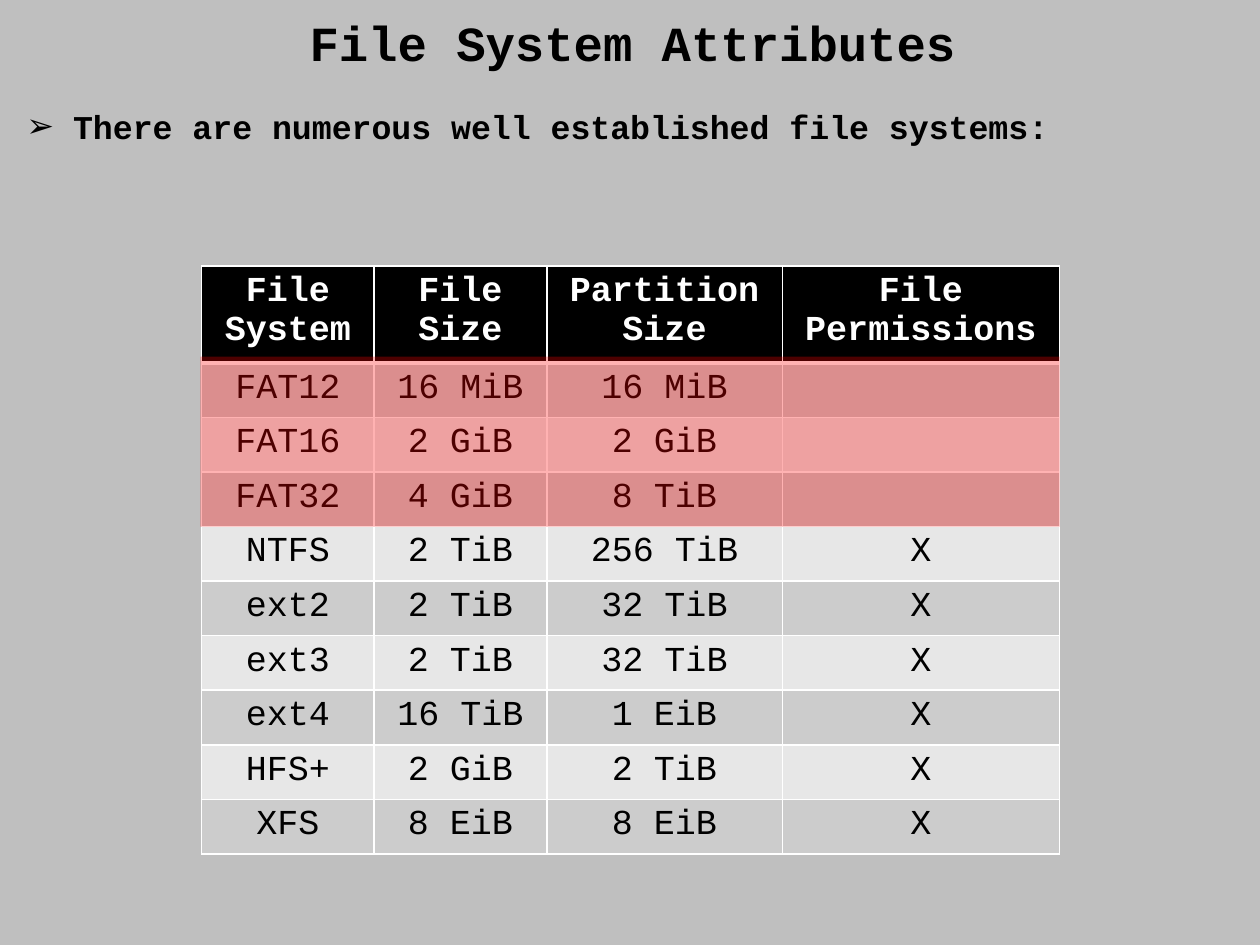
import pptx
import pptx.dml.color
import pptx.enum.shapes
import pptx.enum.text
import pptx.oxml
import pptx.oxml.ns
import pptx.util
from pptx.util import Inches

RGBColor = pptx.dml.color.RGBColor
BLACK = RGBColor(0x00, 0x00, 0x00)
WHITE = RGBColor(0xFF, 0xFF, 0xFF)
BACKGROUND = RGBColor(0xBF, 0xBF, 0xBF)
DARK_BAND = RGBColor(0xCC, 0xCC, 0xCC)
LIGHT_BAND = RGBColor(0xE7, 0xE7, 0xE7)
RED = RGBColor(0xFF, 0x00, 0x00)

FONT = "Courier New"
CENTER = pptx.enum.text.PP_ALIGN.CENTER
LEFT = pptx.enum.text.PP_ALIGN.LEFT
MIDDLE = pptx.enum.text.MSO_ANCHOR.MIDDLE
TOP = pptx.enum.text.MSO_ANCHOR.TOP

COLUMN_WIDTHS = [1.37, 1.37, 1.87, 2.2]
HEADER_HEIGHT = 0.77
BODY_HEIGHT = 3.9
HEADERS = ["File\nSystem", "File\nSize", "Partition\nSize", "File\nPermissions"]
FILE_SYSTEMS = [
    ["FAT12", "16 MiB", "16 MiB", ""],
    ["FAT16", "2 GiB", "2 GiB", ""],
    ["FAT32", "4 GiB", "8 TiB", ""],
    ["NTFS", "2 TiB", "256 TiB", "X"],
    ["ext2", "2 TiB", "32 TiB", "X"],
    ["ext3", "2 TiB", "32 TiB", "X"],
    ["ext4", "16 TiB", "1 EiB", "X"],
    ["HFS+", "2 GiB", "2 TiB", "X"],
    ["XFS", "8 EiB", "8 EiB", "X"],
]


def add_xml(parent, tag, content="", **attributes):
    """Append a DrawingML element to a parent and return it."""
    namespace = pptx.oxml.ns.nsdecls("a")
    values = "".join(f' {name}="{value}"' for name, value in attributes.items())
    element = pptx.oxml.parse_xml(f"<a:{tag} {namespace}{values}>{content}</a:{tag}>")
    parent.append(element)
    return element


def write_text(text_frame, text, size=20, color=BLACK, bold=False, alignment=CENTER):
    """Fill a text frame with one formatted paragraph per line."""
    text_frame.text = text
    for paragraph in text_frame.paragraphs:
        paragraph.alignment = alignment
        for font in [paragraph.font] + [run.font for run in paragraph.runs]:
            font.name = FONT
            font.size = pptx.util.Pt(size)
            font.bold = bold
            font.color.rgb = color


def fill_placeholder(shape, text, left, top, width, height, anchor, **text_format):
    """Move a placeholder and write its text."""
    shape.left, shape.top = Inches(left), Inches(top)
    shape.width, shape.height = Inches(width), Inches(height)
    text_frame = shape.text_frame
    text_frame.word_wrap = True
    text_frame.auto_size = pptx.enum.text.MSO_AUTO_SIZE.NONE
    text_frame.vertical_anchor = anchor
    write_text(text_frame, text, bold=True, **text_format)


def set_bullet(paragraph, character, indent):
    """Give a paragraph a hanging bullet."""
    properties = paragraph._p.get_or_add_pPr()
    properties.set("marL", str(Inches(indent)))
    properties.set("indent", str(-Inches(indent)))
    bullet = add_xml(properties, "buChar", char=character)
    properties.insert(0, bullet)


def format_cell(cell, text, fill, bottom_width=1, **text_format):
    """Write a table cell with its fill and white borders."""
    write_text(cell.text_frame, text, **text_format)
    properties = cell._tc.get_or_add_tcPr()
    line_fill = f'<a:solidFill><a:srgbClr val="{WHITE}"/></a:solidFill>'
    for side, width in [("L", 1), ("R", 1), ("T", 1), ("B", bottom_width)]:
        add_xml(properties, f"ln{side}", line_fill, w=pptx.util.Pt(width))
    cell.fill.solid()
    cell.fill.fore_color.rgb = fill


def add_file_system_table(slide):
    """Add the table of file systems with banded rows."""
    frame = slide.shapes.add_table(
        len(FILE_SYSTEMS) + 1, len(HEADERS), Inches(1.6), Inches(2.11),
        Inches(sum(COLUMN_WIDTHS)), Inches(HEADER_HEIGHT + BODY_HEIGHT))
    table = frame.table
    for column, width in zip(table.columns, COLUMN_WIDTHS):
        column.width = Inches(width)
    for row in table.rows:
        row.height = Inches(BODY_HEIGHT / len(FILE_SYSTEMS))
    table.rows[0].height = Inches(HEADER_HEIGHT)
    for column_index, header in enumerate(HEADERS):
        format_cell(table.cell(0, column_index), header, BLACK,
                    bottom_width=3, color=WHITE, bold=True)
    for row_index, values in enumerate(FILE_SYSTEMS, start=1):
        band = DARK_BAND if row_index % 2 else LIGHT_BAND
        for column_index, value in enumerate(values):
            format_cell(table.cell(row_index, column_index), value, band)


def add_highlight(slide, left, top, width, height, opacity):
    """Add a translucent red rectangle."""
    shape = slide.shapes.add_shape(
        pptx.enum.shapes.MSO_SHAPE.RECTANGLE,
        Inches(left), Inches(top), Inches(width), Inches(height))
    shape.shadow.inherit = False
    shape.line.fill.background()
    shape.fill.solid()
    shape.fill.fore_color.rgb = RED
    color = shape._element.spPr.find(".//" + pptx.oxml.ns.qn("a:srgbClr"))
    add_xml(color, "alpha", val=opacity * 1000)


def main():
    """Build the file system slide and save it."""
    presentation = pptx.Presentation()
    presentation.slide_width = Inches(10)
    presentation.slide_height = Inches(7.5)
    slide = presentation.slides.add_slide(presentation.slide_layouts[1])
    slide.background.fill.solid()
    slide.background.fill.fore_color.rgb = BACKGROUND
    fill_placeholder(slide.shapes.title, "File System Attributes",
                     0.57, 0.12, 8.9, 0.42, MIDDLE, size=28)
    body = slide.placeholders[1]
    fill_placeholder(body, "There are numerous well established file systems:",
                     0.11, 0.79, 9.78, 0.73, TOP, size=19, alignment=LEFT)
    set_bullet(body.text_frame.paragraphs[0], "➢", 0.37)
    add_file_system_table(slide)
    add_highlight(slide, 1.59, 2.83, 6.82, 1.35, opacity=30)
    presentation.save("out.pptx")


if __name__ == "__main__":
    main()
